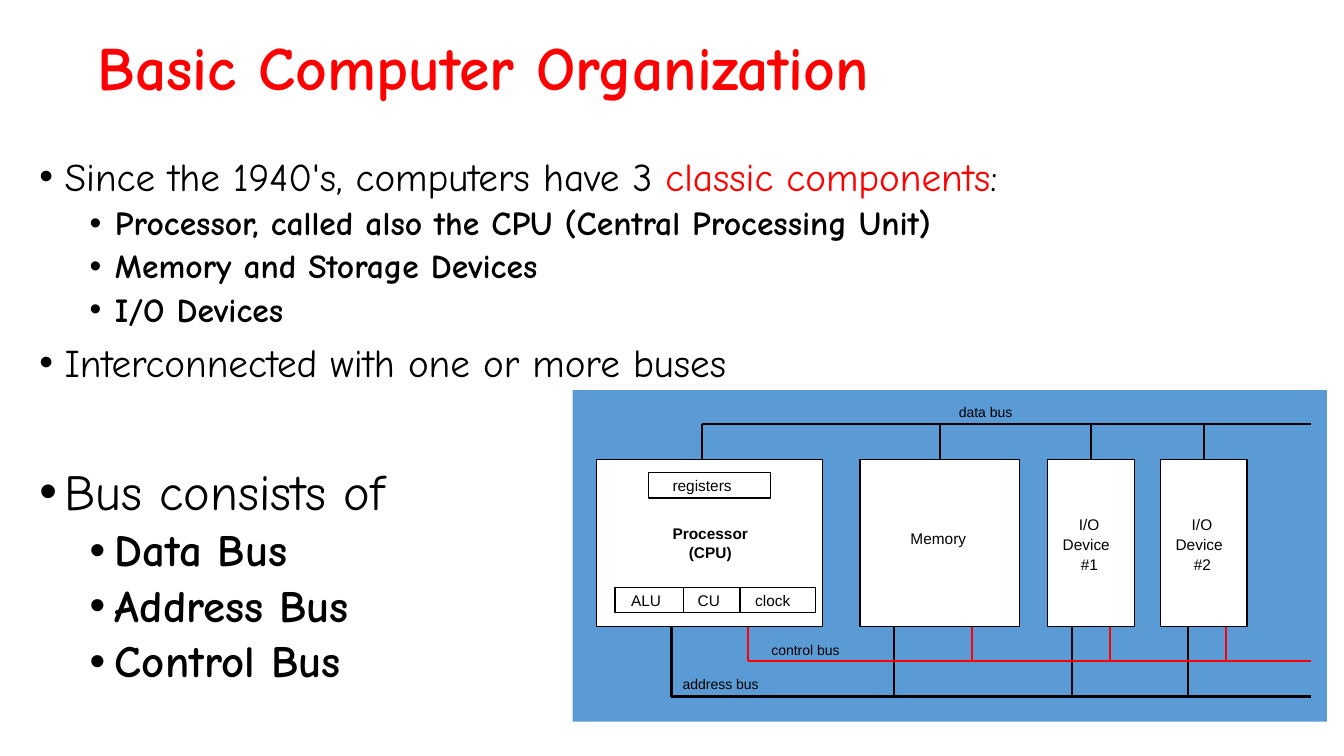
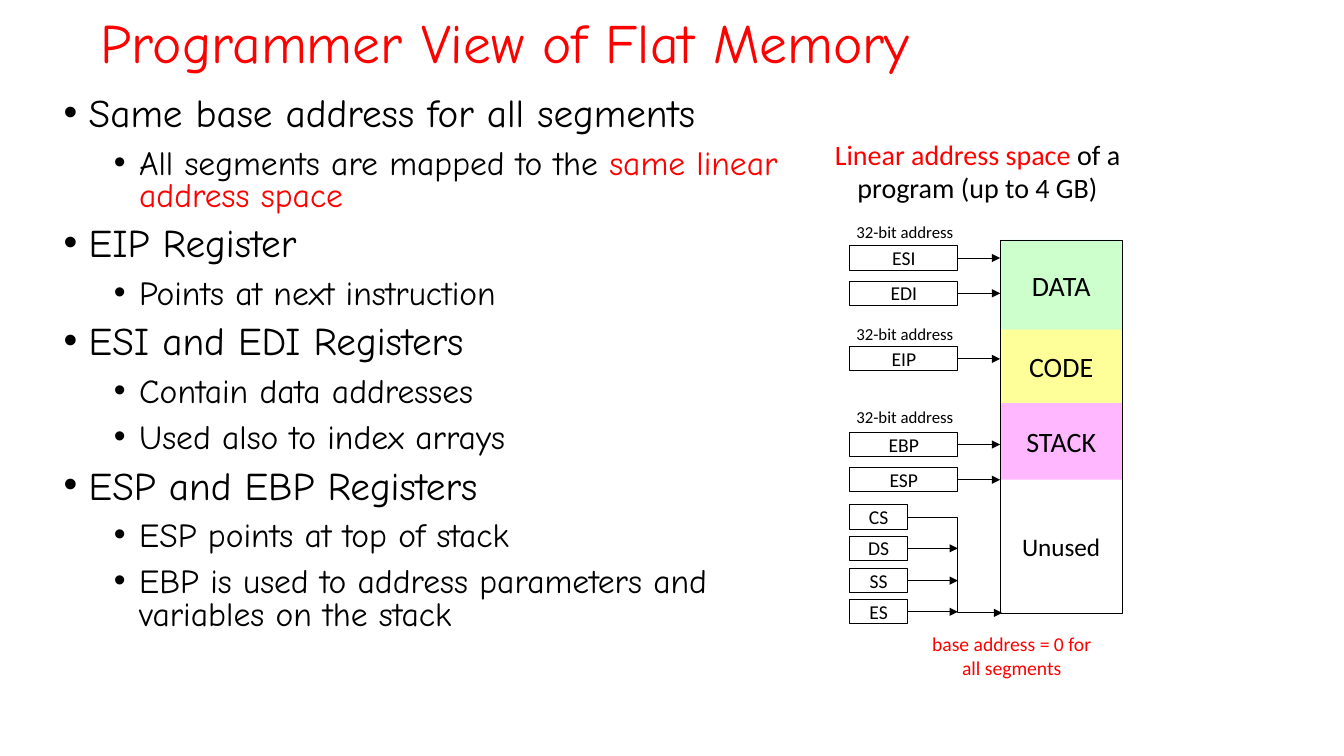
"""Build two slides on computer organization and flat memory."""
from lxml import etree
from pptx import Presentation, util as u
from pptx.dml.color import RGBColor
from pptx.enum import shapes, text
from pptx.oxml import ns

PX = 9144
COLORS = {
    "ink": "000000", "red": "FF0000", "white": "FFFFFF", "panel": "5B9BD5",
    "data": "CCFFCC", "code": "FFFF99", "stack": "FFB7FF",
}
HEADING_FONT = "Comic Neue"
LEFT, CENTER = text.PP_ALIGN.LEFT, text.PP_ALIGN.CENTER
TOP, MIDDLE = text.MSO_ANCHOR.TOP, text.MSO_ANCHOR.MIDDLE


def add_box(page, area, paras=(), size=14, font="Calibri", fill=None, line=None,
            insets=(0, 0, 0, 0), anchor=TOP, align=CENTER, bold=False):
    """Add a text box, or a rectangle if filled or outlined; a paragraph is a list of (text, color)."""
    area = [n * PX for n in area]
    if fill or line:
        box = page.shapes.add_shape(shapes.MSO_SHAPE.RECTANGLE, *area)
        box.shadow.inherit = False
        if line:
            box.line.color.rgb = RGBColor.from_string(COLORS["ink"])
            box.line.width = u.Pt(line)
        else:
            box.line.fill.background()
    else:
        box = page.shapes.add_textbox(*area)
    if fill:
        box.fill.solid()
        box.fill.fore_color.rgb = RGBColor.from_string(COLORS[fill])
    else:
        box.fill.background()
    frame = box.text_frame
    frame.word_wrap = True
    frame.vertical_anchor = anchor
    frame.margin_left, frame.margin_top, frame.margin_right, frame.margin_bottom = [n * PX for n in insets]
    for number, spans in enumerate(paras):
        para = frame.add_paragraph() if number else frame.paragraphs[0]
        para.alignment = align
        for words, color in spans:
            span = para.add_run()
            span.text = words
            span.font.name = font
            span.font.size = u.Pt(size)
            span.font.bold = bold
            span.font.color.rgb = RGBColor.from_string(COLORS[color])
    return box


def add_line(page, start, end, color="ink", width=1.5, arrow=False):
    """Add a straight connector, with an arrowhead at its end if wanted."""
    line = page.shapes.add_connector(
        shapes.MSO_CONNECTOR.STRAIGHT, *[n * PX for n in (*start, *end)])
    line.line.color.rgb = RGBColor.from_string(COLORS[color])
    line.line.width = u.Pt(width)
    if arrow:
        etree.SubElement(line.line._get_or_add_ln(), ns.qn("a:tailEnd"), type="triangle")
    etree.SubElement(line._element.spPr, ns.qn("a:effectLst"))
    return line


deck = Presentation()
deck.slide_width, deck.slide_height = 1333 * PX, 750 * PX

OUTLINES = [
    {
        "title": "Basic Computer Organization", "title_area": (87, 20, 964, 100),
        "title_size": 44, "title_bold": True,
        "area": (39, 151, 1260, 581), "right": 10, "leading": 0.9,
        "items": [
            (0, 28, 10, [("Since the 1940's, computers have 3 ", "ink"),
                         ("classic components", "red"), (":", "ink")]),
            (1, 24, 5, [("Processor, called also the CPU (Central Processing Unit)", "ink")]),
            (1, 24, 5, [("Memory and Storage Devices", "ink")]),
            (1, 24, 5, [("I/O Devices", "ink")]),
            (0, 28, 10, [("Interconnected with one or more buses", "ink")]),
            (0, 36, 58, [("Bus consists of", "ink")]),
            (1, 32, 5, [("Data Bus", "ink")]),
            (1, 32, 5, [("Address Bus", "ink")]),
            (1, 32, 5, [("Control Bus", "ink")]),
        ],
    },
    {
        "title": "Programmer View of Flat Memory", "title_area": (90, 12, 1150, 66),
        "title_size": 39.6, "title_bold": False,
        "area": (63, 92, 742, 596), "right": 0, "leading": 0.8,
        "items": [
            (0, 28, 10, [("Same base address for all segments", "ink")]),
            (1, 24, 10, [("All segments are mapped to the ", "ink"),
                         ("same linear address space", "red")]),
            (0, 28, 10, [("EIP Register", "ink")]),
            (1, 24, 10, [("Points at next instruction", "ink")]),
            (0, 28, 10, [("ESI and EDI Registers", "ink")]),
            (1, 24, 10, [("Contain data addresses", "ink")]),
            (1, 24, 10, [("Used also to index arrays", "ink")]),
            (0, 28, 10, [("ESP and EBP Registers", "ink")]),
            (1, 24, 10, [("ESP points at top of stack", "ink")]),
            (1, 24, 10, [("EBP is used to address parameters and variables on the stack", "ink")]),
        ],
    },
]

pages = []
for outline in OUTLINES:
    page = deck.slides.add_slide(deck.slide_layouts[6])
    pages.append(page)
    title = add_box(page, outline["title_area"], [[(outline["title"], "red")]],
                    outline["title_size"], HEADING_FONT, insets=(10, 5, 10, 5),
                    anchor=MIDDLE, align=LEFT, bold=outline["title_bold"])
    title.text_frame.paragraphs[0].line_spacing = 0.9
    body = add_box(page, outline["area"], [item[3] for item in outline["items"]],
                   font=HEADING_FONT, insets=(0, 5, outline["right"], 5), align=LEFT)
    for para, (level, size, before, spans) in zip(body.text_frame.paragraphs, outline["items"]):
        para.level = level
        para.line_spacing = outline["leading"]
        para.space_before = u.Pt(before)
        for span in para.runs:
            span.font.size = u.Pt(size)
            span.font.bold = outline["title_bold"] and level == 1
        props = para._p.get_or_add_pPr()
        props.set("marL", str((25 + 50 * level) * PX))
        props.set("indent", str(-25 * PX))
        etree.SubElement(props, ns.qn("a:buFont"), typeface="Arial")
        etree.SubElement(props, ns.qn("a:buChar"), char="•")

organization, memory_view = pages

add_box(organization, (568, 387, 748, 329), fill="panel")
UNIT_TOP, UNIT_BOTTOM = 456, 622
DATA_BUS, CONTROL_BUS, ADDRESS_BUS, BUS_END = 421, 656, 691, 1300
UNITS = [
    (592, 224, 696, 666, 742),
    (853, 158, 932, 887, 964),
    (1039, 86, 1082, 1063, 1101),
    (1151, 86, 1194, 1178, 1216),
]
for number, (left, width, data, address, control) in enumerate(UNITS):
    unit = add_box(organization, (left, UNIT_TOP, width, UNIT_BOTTOM - UNIT_TOP), fill="white", line=0.88)
    drop = add_line(organization, (data, DATA_BUS), (data, UNIT_TOP))
    if number:
        drop.end_connect(unit, 0)
    add_line(organization, (address, UNIT_BOTTOM), (address, ADDRESS_BUS))
    add_line(organization, (control, UNIT_BOTTOM), (control, CONTROL_BUS), "red")
for level, start, color in [(DATA_BUS, 696, "ink"), (ADDRESS_BUS, 666, "ink"), (CONTROL_BUS, 742, "red")]:
    add_line(organization, (start, level), (BUS_END, level), color)

for left, top, width in [(643, 469, 121), (610, 583, 68), (678, 583, 56), (734, 583, 75)]:
    add_box(organization, (left, top, width, 25), fill="white", line=0.88)
add_box(organization, (659, 520, 91, 40), [[("Processor", "ink")], [("(CPU)", "ink")]],
        11, "Arial", bold=True)
labels = [
    ("registers", 667, 472, 71, 11), ("ALU", 626, 586, 40, 11), ("CU", 692, 586, 30, 11),
    ("clock", 749, 586, 50, 11), ("Memory", 903, 525, 67, 11),
    ("data bus", 951, 400, 64, 10), ("control bus", 765, 636, 82, 10), ("address bus", 677, 670, 91, 10),
]
for number, left in enumerate((1039, 1151), 1):
    labels += [("I/O", left + 31, 511, 30, 11), ("Device", left + 15, 531, 57, 11),
               (f"#{number}", left + 33, 551, 30, 11)]
for words, left, top, width, size in labels:
    add_box(organization, (left, top, width, 20), [[(words, "ink")]], size, "Arial", align=LEFT)

MEMORY_LEFT, MEMORY_WIDTH = 992, 121
for words, top, height, size, fill in [
    ("DATA", 238, 90, 20, "data"), ("CODE", 327, 73, 20, "code"),
    ("STACK", 400, 76, 20, "stack"), ("Unused", 476, 132, 18, None),
]:
    add_box(memory_view, (MEMORY_LEFT, top, MEMORY_WIDTH, height), [[(words, "ink")]], size,
            fill=fill, insets=(10, 10, 10, 10), anchor=MIDDLE)
add_box(memory_view, (MEMORY_LEFT, 239, MEMORY_WIDTH, 370), line=0.75)

for top in (220, 321, 404):
    add_box(memory_view, (844, top, 107, 24), [[("32-bit address", "ink")]], 12, fill="white")

SEGMENT_LINE = 950
registers = [(name, top, 107, MEMORY_LEFT) for name, top in
             [("ESI", 244), ("EDI", 279), ("EIP", 344), ("EBP", 429), ("ESP", 464)]]
registers += [(name, round(501 + 31.4 * row), 57, SEGMENT_LINE)
              for row, name in enumerate(("CS", "DS", "SS", "ES"))]
for name, top, width, target in registers:
    box = add_box(memory_view, (843, top, width, 24), [[(name, "ink")]], fill="white",
                  line=0.75, insets=(10, 0, 10, 0))
    if name != "CS":
        arrow = add_line(memory_view, (843 + width, top + 12), (target, top + 12), width=0.75, arrow=True)
        arrow.begin_connect(box, 3)

builder = memory_view.shapes.build_freeform(900, 513, scale=PX)
builder.add_line_segments([(SEGMENT_LINE, 513), (SEGMENT_LINE, 608), (994, 608)], close=False)
base_path = builder.convert_to_shape()
base_path.shadow.inherit = False
base_path.fill.background()
base_path.line.color.rgb = RGBColor.from_string(COLORS["ink"])
base_path.line.width = u.Pt(0.75)
etree.SubElement(base_path.line._get_or_add_ln(), ns.qn("a:tailEnd"), type="triangle")

add_box(memory_view, (812, 136, 315, 69),
        [[("Linear address space", "red"), (" of a program (up to 4 GB)", "ink")]], 20, fill="white")
add_box(memory_view, (912, 627, 183, 50), [[("base address = 0 for all segments", "red")]],
        fill="white", insets=(10, 0, 10, 0))

deck.save("out.pptx")
